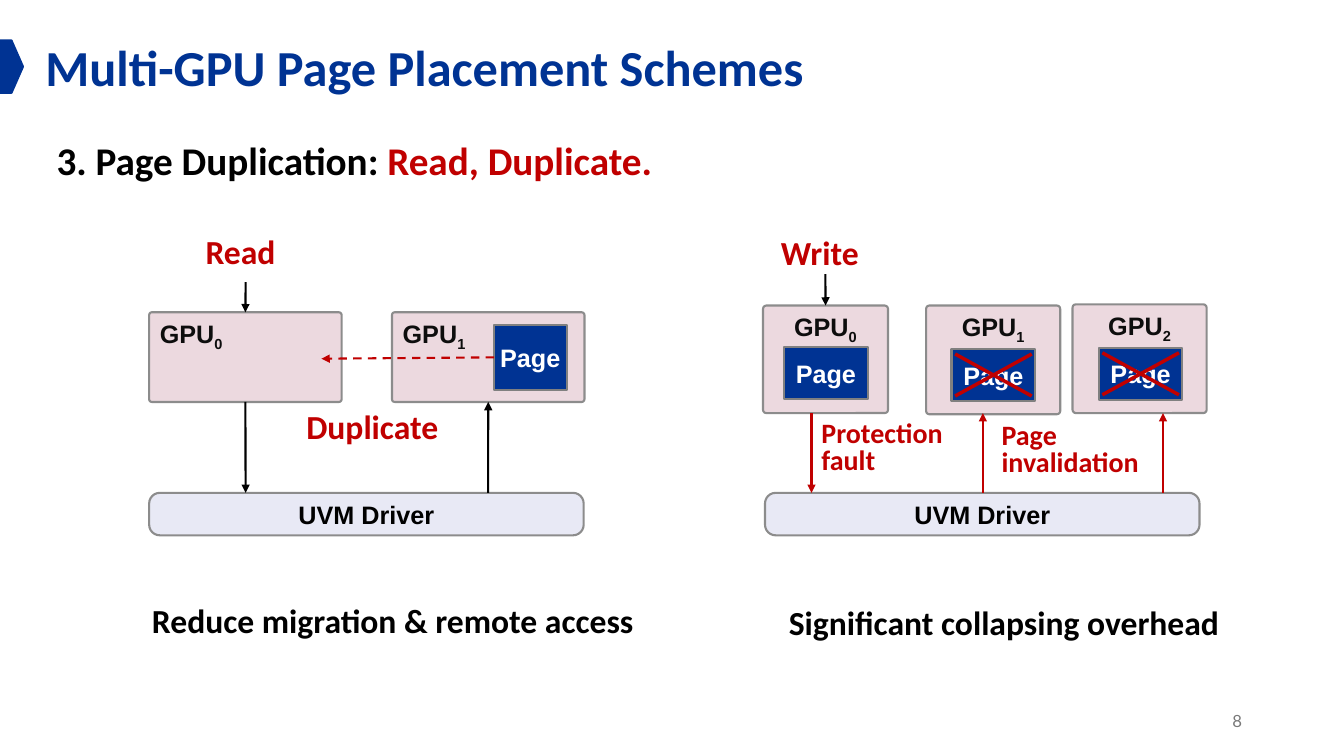
from dataclasses import dataclass

from lxml.etree import SubElement
from pptx import Presentation
from pptx.dml.color import RGBColor
from pptx.enum.dml import MSO_LINE
from pptx.enum.shapes import MSO_CONNECTOR, MSO_SHAPE
from pptx.enum.text import MSO_ANCHOR, MSO_AUTO_SIZE, PP_ALIGN
from pptx.oxml.ns import qn
from pptx.util import Cm, Pt


@dataclass(frozen=True)
class Theme:
    blue: str = "003393"
    red: str = "C00000"
    black: str = "000000"
    white: str = "FFFFFF"
    gpu_text: str = "0D0D0D"
    gpu_fill: str = "ECD9DF"
    driver_fill: str = "E8E9F5"
    edge: str = "8C8C8C"
    page_edge: str = "808080"
    number: str = "797979"
    heading_font: str = "Calibri"
    diagram_font: str = "Arial"
    number_font: str = "Lato"
    title_size: int = 36
    subtitle_size: int = 28
    label_size: int = 24
    note_size: int = 20
    diagram_size: int = 18
    number_size: int = 12
    line: float = 1.5
    cross_line: float = 2.5


THEME = Theme()

# All positions are in centimetres: left, top, width, height.
TITLE = ("Multi-GPU Page Placement Schemes", (0.89, 0.79, 31.9, 1.8))
SUBTITLE = ([("3. Page Duplication: ", THEME.black), ("Read, Duplicate.", THEME.red)],
            (1.17, 3.3, 32.79, 1.45))
PAGE_NUMBER = ("8", (29.39, 17.65, 2.16, 1.02))
TITLE_MARK = (0, 1.02, 0.58, 1.32)

# name: (index, box, alignment)
GPUS = {
    "read GPU 0": ("0", (3.76, 7.87, 4.85, 2.26), PP_ALIGN.LEFT),
    "read GPU 1": ("1", (9.88, 7.87, 4.85, 2.26), PP_ALIGN.LEFT),
    "write GPU 0": ("0", (19.23, 7.7, 3.15, 2.71), PP_ALIGN.CENTER),
    "write GPU 1": ("1", (23.34, 7.7, 3.38, 2.74), PP_ALIGN.CENTER),
    "write GPU 2": ("2", (27.03, 7.67, 3.38, 2.74), PP_ALIGN.CENTER),
}
DRIVERS = {
    "read driver": (3.76, 12.42, 10.95, 1.07),
    "write driver": (19.28, 12.42, 10.95, 1.07),
}
# name: (box, invalidated)
PAGES = {
    "read page": ((12.45, 8.18, 1.83, 1.65), False),
    "write page 0": ((19.76, 8.74, 2.11, 1.32), False),
    "write page 1": ((23.98, 8.79, 2.11, 1.32), True),
    "write page 2": ((27.69, 8.76, 2.11, 1.32), True),
}
# An end is a point, or a shape name with its connection site.
TOP, LEFT, BOTTOM = 0, 1, 2
ARROWS = [
    ((6.19, 7.11), ("read GPU 0", TOP), THEME.black, False),
    (("read GPU 0", BOTTOM), (6.19, 12.42), THEME.black, False),
    ((12.3, 12.42), ("read GPU 1", BOTTOM), THEME.black, False),
    (("read page", LEFT), (8.1, 9.04), THEME.red, True),
    ((20.8, 6.91), ("write GPU 0", TOP), THEME.black, False),
    ((20.45, 10.41), (20.45, 12.42), THEME.red, False),
    ((24.77, 12.42), (24.77, 10.41), THEME.red, False),
    ((29.31, 12.42), (29.31, 10.41), THEME.red, False),
]
LABELS = [
    ("Read", (4.93, 5.69, 3.02, 1.27), THEME.red),
    ("Duplicate", (7.47, 10.11, 4.32, 1.27), THEME.red),
    ("Write", (19.43, 5.72, 3.02, 1.27), THEME.red),
    ("Reduce migration & remote access", (3.58, 14.99, 13.26, 1.27), THEME.black),
    ("Significant collapsing overhead", (19.63, 15.04, 12.32, 1.27), THEME.black),
]
NOTES = [
    (["Protection", "fault"], (20.45, 10.52, 4.32, 1.65)),
    (["Page invalidation"], (24.99, 10.57, 4.22, 1.65)),
]
CROSS_INSET = (0.09, 0.13)


def color(value):
    return RGBColor.from_string(value)


def lengths(values):
    return [Cm(value) for value in values]


def add_run(paragraph, text, size, text_color, font, bold=True):
    run = paragraph.add_run()
    run.text = text
    run.font.name, run.font.size, run.font.bold = font, Pt(size), bold
    run.font.color.rgb = color(text_color)
    return run


def place(shape, box):
    shape.left, shape.top, shape.width, shape.height = lengths(box)


def add_text_box(slide, lines, box, size, text_color, spacing=None):
    frame = slide.shapes.add_textbox(*lengths(box)).text_frame
    frame.word_wrap = True
    for number, line in enumerate(lines):
        paragraph = frame.add_paragraph() if number else frame.paragraphs[0]
        paragraph.line_spacing = spacing
        add_run(paragraph, line, size, text_color, THEME.heading_font)
    return frame


def add_block(slide, kind, box, fill, edge, radius=None):
    shape = slide.shapes.add_shape(kind, *lengths(box))
    shape.shadow.inherit = False
    shape.fill.solid()
    shape.fill.fore_color.rgb = color(fill)
    shape.line.color.rgb = color(edge)
    shape.line.width = Pt(THEME.line)
    if radius is not None:
        shape.adjustments[0] = radius
    return shape


def write_in(shape, text, text_color, alignment=PP_ALIGN.CENTER, anchor=MSO_ANCHOR.MIDDLE):
    frame = shape.text_frame
    frame.vertical_anchor = anchor
    paragraph = frame.paragraphs[0]
    paragraph.alignment = alignment
    add_run(paragraph, text, THEME.diagram_size, text_color, THEME.diagram_font)
    return paragraph


def add_line(slide, start, end, line_color, width):
    line = slide.shapes.add_connector(MSO_CONNECTOR.STRAIGHT, *lengths(start + end))
    line.line.color.rgb = color(line_color)
    line.line.width = Pt(width)
    SubElement(line._element.spPr, qn("a:effectLst"))
    return line


def add_arrow(slide, shapes, start, end, line_color, dashed):
    """Draw an arrow, joining each end that names a shape."""
    points = [(0, 0) if isinstance(point[0], str) else point for point in (start, end)]
    arrow = add_line(slide, *points, line_color, THEME.line)
    for point, connect in ((start, arrow.begin_connect), (end, arrow.end_connect)):
        if isinstance(point[0], str):
            connect(shapes[point[0]], point[1])
    if dashed:
        arrow.line.dash_style = MSO_LINE.DASH
    SubElement(arrow.line._get_or_add_ln(), qn("a:tailEnd"), type="triangle")


def add_headings(slide):
    title, body = slide.shapes.title, slide.placeholders[1]
    for shape, box in ((title, TITLE[1]), (body, SUBTITLE[1])):
        place(shape, box)
        shape.text_frame.auto_size = MSO_AUTO_SIZE.NONE
        shape.text_frame.vertical_anchor = MSO_ANCHOR.TOP
    paragraph = title.text_frame.paragraphs[0]
    paragraph.alignment = PP_ALIGN.LEFT
    add_run(paragraph, TITLE[0], THEME.title_size, THEME.blue, THEME.heading_font)

    paragraph = body.text_frame.paragraphs[0]
    properties = paragraph._p.get_or_add_pPr()
    properties.set("marL", "0")
    properties.set("indent", "0")
    SubElement(properties, qn("a:buNone"))
    paragraph.space_before = Pt(0)
    for text, text_color in SUBTITLE[0]:
        add_run(paragraph, text, THEME.subtitle_size, text_color, THEME.heading_font)


def add_page_number(slide):
    text, box = PAGE_NUMBER
    frame = slide.shapes.add_textbox(*lengths(box)).text_frame
    frame.word_wrap = True
    frame.vertical_anchor = MSO_ANCHOR.MIDDLE
    frame.paragraphs[0].alignment = PP_ALIGN.RIGHT
    add_run(frame.paragraphs[0], text, THEME.number_size, THEME.number, THEME.number_font, False)


def add_diagrams(slide):
    shapes = {}
    for name, (index, box, alignment) in GPUS.items():
        gpu = add_block(slide, MSO_SHAPE.ROUNDED_RECTANGLE, box, THEME.gpu_fill, THEME.edge, 0.03)
        paragraph = write_in(gpu, "GPU", THEME.gpu_text, alignment, MSO_ANCHOR.TOP)
        subscript = add_run(paragraph, index, THEME.diagram_size, THEME.gpu_text, THEME.diagram_font)
        subscript._r.get_or_add_rPr().set("baseline", "-25000")
        shapes[name] = gpu
    for name, box in DRIVERS.items():
        driver = add_block(slide, MSO_SHAPE.ROUNDED_RECTANGLE, box, THEME.driver_fill, THEME.edge, 0.25)
        write_in(driver, "UVM Driver", THEME.black)
        shapes[name] = driver
    for name, (box, invalidated) in PAGES.items():
        page = add_block(slide, MSO_SHAPE.RECTANGLE, box, THEME.blue, THEME.page_edge)
        page.text_frame.margin_left = page.text_frame.margin_right = 0
        write_in(page, "Page", THEME.white)
        shapes[name] = page
        if invalidated:
            left, top, width, height = box
            inset_x, inset_y = CROSS_INSET
            x1, x2 = left + inset_x, left + width - inset_x
            y1, y2 = top + inset_y, top + height - inset_y
            for start, end in (((x1, y1), (x2, y2)), ((x1, y2), (x2, y1))):
                add_line(slide, start, end, THEME.red, THEME.cross_line)
    for arrow in ARROWS:
        add_arrow(slide, shapes, *arrow)


def main():
    presentation = Presentation()
    presentation.slide_width, presentation.slide_height = Cm(33.87), Cm(19.05)
    slide = presentation.slides.add_slide(presentation.slide_layouts[1])
    add_headings(slide)
    add_block(slide, MSO_SHAPE.PENTAGON, TITLE_MARK, THEME.blue, THEME.blue)
    add_diagrams(slide)
    for text, box, text_color in LABELS:
        add_text_box(slide, [text], box, THEME.label_size, text_color)
    for lines, box in NOTES:
        add_text_box(slide, lines, box, THEME.note_size, THEME.red, 0.8)
    add_page_number(slide)
    presentation.save("out.pptx")


if __name__ == "__main__":
    main()
